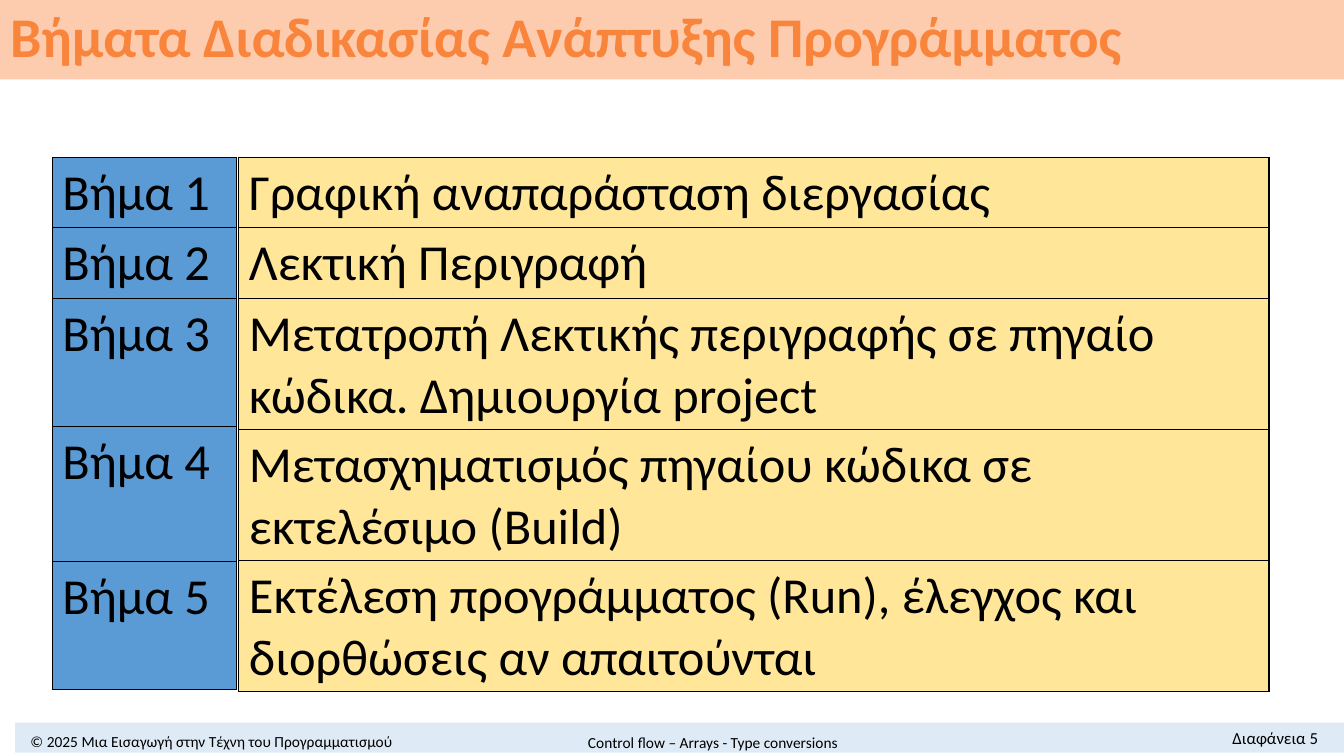
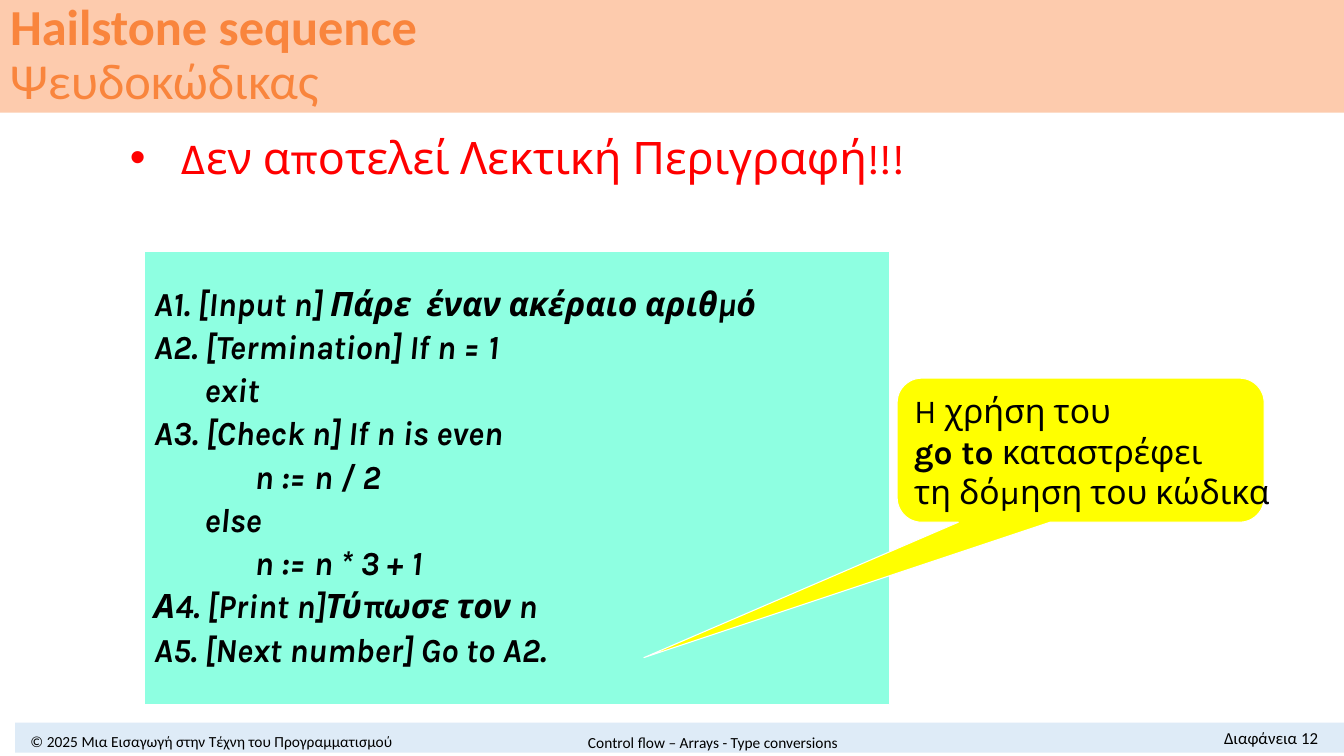
from lxml import etree
from pptx import Presentation
from pptx import util as u
from pptx.dml import color
from pptx.enum import shapes, text
from pptx.oxml import ns

WIDTH, HEIGHT = 33.87, 19.05
PEACH, ORANGE, PALE_BLUE = "FDCBAD", "F9853D", "DEEBF7"
BLUE, SAND, MINT, YELLOW = "5B9BD5", "FFE699", "8EFFE1", "FFFF00"
BLACK, WHITE, RED = "000000", "FFFFFF", "FF0000"
LEFT, CENTER, RIGHT = text.PP_ALIGN.LEFT, text.PP_ALIGN.CENTER, text.PP_ALIGN.RIGHT
TOP, MIDDLE = text.MSO_ANCHOR.TOP, text.MSO_ANCHOR.MIDDLE

COPYRIGHT = "© 2025 Μια Εισαγωγή στην Τέχνη του Προγραμματισμού"
TOPICS = "Control flow – Arrays - Type conversions"

STEPS = [
    "Γραφική αναπαράσταση διεργασίας",
    "Λεκτική Περιγραφή",
    "Μετατροπή Λεκτικής περιγραφής σε πηγαίο κώδικα. Δημιουργία project",
    "Μετασχηματισμός πηγαίου κώδικα σε εκτελέσιμο (Build)",
    "Εκτέλεση προγράμματος (Run), έλεγχος και διορθώσεις αν απαιτούνται",
]
LABEL_HEIGHTS = [1.78, 1.78, 3.23, 3.4, 3.23]
STEP_HEIGHTS = [1.78, 1.78, 3.3, 3.3, 3.3]

REMARK = "Δεν αποτελεί Λεκτική Περιγραφή!!!"
PSEUDOCODE = [
    "A1. [Input n] Πάρε  έναν ακέραιο αριθμό",
    "A2. [Termination] If n = 1",
    "\texit",
    "A3. [Check n] If n is even",
    "\t\tn := n / 2",
    "\telse",
    "\t\tn := n * 3 + 1",
    "Α4. [Print n]Τύπωσε τον n",
    "A5. [Next number] Go to A2.",
]
WARNING = [
    [("H χρήση του", False)],
    [("go to ", True), ("καταστρέφει", False)],
    [("τη δόμηση του κώδικα", False)],
]


def rgb(value):
    return color.RGBColor.from_string(value)


def lengths(*values):
    return [u.Cm(value) for value in values]


def style(para, size, colour=BLACK, name="Calibri", align=LEFT, bold=False, italic=False):
    para.alignment = align
    font = para.font
    font.name, font.size, font.bold, font.italic = name, u.Pt(size), bold, italic
    font.color.rgb = rgb(colour)


def add_spans(para, spans):
    for words, bold in spans:
        span = para.add_run()
        span.text = words
        span.font.bold = bold


def add_block(page, kind, place, fill, line=None):
    block = page.shapes.add_shape(kind, *lengths(*place))
    block.shadow.inherit = False
    block.fill.solid()
    block.fill.fore_color.rgb = rgb(fill)
    if line:
        block.line.color.rgb = rgb(line)
        block.line.width = u.Pt(0.75)
    else:
        block.line.fill.background()
    return block


def add_label(page, place, words, size, align, anchor):
    frame = page.shapes.add_textbox(*lengths(*place)).text_frame
    frame.word_wrap = True
    frame.vertical_anchor = anchor
    frame.text = words
    style(frame.paragraphs[0], size, align=align)


def add_page(deck, layout, number, title_height, title_size, title_lines):
    page = deck.slides.add_slide(deck.slide_layouts[layout])
    add_block(page, shapes.MSO_SHAPE.RECTANGLE, (0.38, 18.21, WIDTH - 0.38, 0.76), PALE_BLUE)
    title = page.shapes.title
    title.left, title.top, title.width, title.height = lengths(0, 0, WIDTH, title_height)
    title.fill.solid()
    title.fill.fore_color.rgb = rgb(PEACH)
    frame = title.text_frame
    frame.auto_size = text.MSO_AUTO_SIZE.NONE
    frame.vertical_anchor = MIDDLE
    para = frame.paragraphs[0]
    for index, line in enumerate(title_lines):
        if index:
            para.add_line_break()
        add_spans(para, [line])
    para.line_spacing = 0.9
    style(para, title_size, ORANGE, bold=True)
    add_label(page, (0, 18.34, 10.67, 0.66), COPYRIGHT, 11, CENTER, MIDDLE)
    add_label(page, (11.53, 18.34, 12.88, 0.72), TOPICS, 11, CENTER, MIDDLE)
    add_label(page, (28.24, 18.21, 5.23, 0.76), f"Διαφάνεια {number}", 12, RIGHT, TOP)
    return page


def add_borders(cell):
    properties = cell._tc.get_or_add_tcPr()
    for index, side in enumerate(("lnL", "lnR", "lnT", "lnB")):
        border = etree.Element(ns.qn(f"a:{side}"), w=str(u.Pt(1)))
        fill = etree.SubElement(border, ns.qn("a:solidFill"))
        etree.SubElement(fill, ns.qn("a:srgbClr"), val=BLACK)
        properties.insert(index, border)


def add_column(page, left, width, heights, entries, fill):
    place = lengths(left, 3.96, width, sum(heights))
    table = page.shapes.add_table(len(entries), 1, *place).table
    table.first_row = table.horz_banding = False
    for row, height, words in zip(table.rows, heights, entries):
        row.height = u.Cm(height)
        cell = row.cells[0]
        cell.text = words
        cell.fill.solid()
        cell.fill.fore_color.rgb = rgb(fill)
        add_borders(cell)
        style(cell.text_frame.paragraphs[0], 36)


def add_steps_page(deck):
    page = add_page(deck, 5, 5, 2, 40, [("Βήματα Διαδικασίας Ανάπτυξης Προγράμματος", True)])
    labels = [f"Βήμα {number}" for number in range(1, len(STEPS) + 1)]
    add_column(page, 1.32, 4.65, LABEL_HEIGHTS, labels, BLUE)
    add_column(page, 6.02, 25.96, STEP_HEIGHTS, STEPS, SAND)


def add_remark(page):
    body = page.placeholders[1]
    body.left, body.top, body.width, body.height = lengths(3.02, 3.15, 23.83, 1.98)
    frame = body.text_frame
    frame.auto_size = text.MSO_AUTO_SIZE.NONE
    frame.text = REMARK
    para = frame.paragraphs[0]
    properties = para._p.get_or_add_pPr()
    properties.set("marL", str(u.Cm(1.27)))
    properties.set("indent", str(u.Cm(-1.27)))
    bullet = etree.SubElement(properties, ns.qn("a:buChar"))
    bullet.set("char", "•")
    para.space_before = u.Pt(0)
    style(para, 32, RED, "Karla")


def add_pseudocode(page):
    box = add_block(page, shapes.MSO_SHAPE.RECTANGLE, (3.63, 6.35, 18.8, 11.4), MINT, WHITE)
    frame = box.text_frame
    frame.vertical_anchor = MIDDLE
    frame.text = "\n".join(PSEUDOCODE)
    for index, para in enumerate(frame.paragraphs):
        para.line_spacing = 0.9
        para.space_before = u.Pt(5 if index else 0)
        style(para, 24, name="Karla", bold=True, italic=True)


def add_warning(page):
    kind = shapes.MSO_SHAPE.ROUNDED_RECTANGULAR_CALLOUT
    callout = add_block(page, kind, (22.61, 9.53, 9.25, 3.63), YELLOW, WHITE)
    for index, value in enumerate((-1.19, 1.44, 0.17)):
        callout.adjustments[index] = value
    frame = callout.text_frame
    frame.word_wrap = False
    frame.vertical_anchor = TOP
    for index, spans in enumerate(WARNING):
        para = frame.add_paragraph() if index else frame.paragraphs[0]
        add_spans(para, spans)
        style(para, 24, name="Karla")


def add_pseudocode_page(deck):
    lines = [("Hailstone sequence", True), ("Ψευδοκώδικας", False)]
    page = add_page(deck, 1, 12, 2.84, 36, lines)
    add_remark(page)
    add_pseudocode(page)
    add_warning(page)


def main():
    deck = Presentation()
    deck.slide_width, deck.slide_height = lengths(WIDTH, HEIGHT)
    add_steps_page(deck)
    add_pseudocode_page(deck)
    deck.save("out.pptx")


if __name__ == "__main__":
    main()
